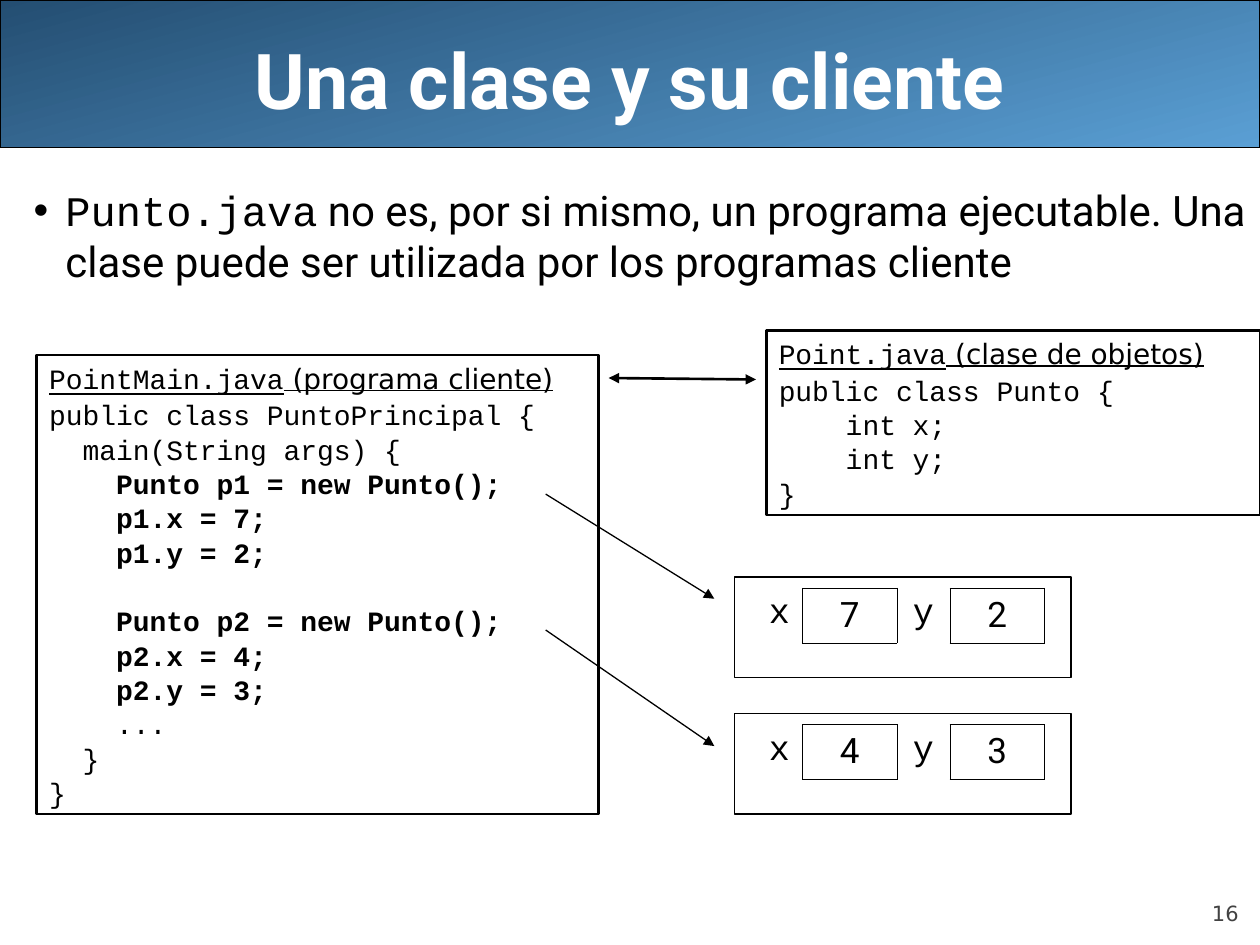
from pptx import Presentation
from pptx.dml.color import RGBColor
from pptx.enum.shapes import MSO_CONNECTOR as CONN, MSO_SHAPE as SHAPE
from pptx.enum.text import MSO_ANCHOR as ANCHOR, PP_ALIGN as ALIGN
from pptx.oxml.ns import qn
from pptx.util import Cm, Pt
from lxml.etree import SubElement

BLACK = RGBColor(0x00, 0x00, 0x00)
WHITE = RGBColor(0xFF, 0xFF, 0xFF)
GRAY = RGBColor(0x42, 0x42, 0x42)
LIGHT_BLUE = RGBColor(0x5A, 0x9F, 0xD4)
DARK_BLUE = RGBColor(0x24, 0x4E, 0x72)

MONO, SANS, TEXT = "Courier New", "DejaVu Sans", "Roboto"
CODE_GAP, CODE_PITCH = 10, 19.6


class SlideBuilder:
    def __init__(self, prs):
        self.s = prs.slides.add_slide(prs.slide_layouts[6])
        self.base = {"name": TEXT, "size": Pt(16), "bold": False}

    def run(self, p, text, color=BLACK, **fmt):
        r = p.add_run()
        r.text = text
        for key, value in {**self.base, **fmt}.items():
            setattr(r.font, key, value)
        r.font.color.rgb = color

    def text(self, box, anchor=ANCHOR.TOP, align=ALIGN.LEFT, inset=True):
        tf = self.s.shapes.add_textbox(*map(Cm, box)).text_frame
        tf.word_wrap = True
        tf.vertical_anchor = anchor
        if not inset:
            for side in ("left", "right", "top", "bottom"):
                setattr(tf, f"margin_{side}", 0)
        p = tf.paragraphs[0]
        p.alignment = align
        return p

    def bullet(self, p, indent):
        pPr = p._p.get_or_add_pPr()
        pPr.set("marL", str(indent))
        pPr.set("indent", str(-indent))
        SubElement(pPr, qn("a:buFont")).set("typeface", "Arial")
        SubElement(pPr, qn("a:buChar")).set("char", "•")

    def box(self, box, line_width=0.75, shape=SHAPE.RECTANGLE):
        sp = self.s.shapes.add_shape(shape, *map(Cm, box))
        sp.shadow.inherit = False
        sp.fill.background()
        sp.line.color.rgb = BLACK
        sp.line.width = Pt(line_width)
        return sp

    def banner(self, box):
        sp = self.box(box)
        sp.fill.gradient()
        sp.fill.gradient_angle = 105
        for stop, color in zip(sp.fill.gradient_stops, (LIGHT_BLUE, DARK_BLUE)):
            stop.color.rgb = color

    def code(self, box, file_name, note, lines):
        """Framed listing; an empty line widens the gap before the next one."""
        tf = self.box(box, 1.5).text_frame
        tf.word_wrap = True
        tf.vertical_anchor = ANCHOR.TOP
        p = tf.paragraphs[0]
        p.alignment = ALIGN.LEFT
        self.run(p, file_name, name=MONO, underline=True)
        self.run(p, note, name=SANS, underline=True)
        gap = CODE_GAP
        for line in lines:
            if not line:
                gap += CODE_PITCH
                continue
            p = tf.add_paragraph()
            p.alignment = ALIGN.LEFT
            p.line_spacing = 0.5
            p.space_before = Pt(gap)
            self.run(p, line, name=MONO, bold=line.strip().startswith(("Punto", "p1", "p2")))
            gap = CODE_GAP

    def borders(self, cell, sides):
        tcPr = cell._tc.get_or_add_tcPr()
        for side in "LRTB":
            ln = SubElement(tcPr, qn(f"a:ln{side}"), w=str(Pt(0.45)))
            if side in sides:
                fill = SubElement(ln, qn("a:solidFill"))
                SubElement(fill, qn("a:srgbClr"), val=str(BLACK))
            else:
                SubElement(ln, qn("a:noFill"))

    def point_object(self, top, x, y):
        """Frame of one object with its two fields in a one-row table."""
        self.box((14.81, top, 6.78, 2.03))
        widths = (0.94, 1.9, 1.07, 1.9)
        place = map(Cm, (15.24, top + 0.23, sum(widths), 1.1))
        table = self.s.shapes.add_table(1, 4, *place).table
        table.first_row = table.horz_banding = False
        fields = (("x", MONO, "R"), (x, TEXT, "LRTB"), ("y", MONO, "LR"), (y, TEXT, "LRTB"))
        for i, (value, font, sides) in enumerate(fields):
            table.columns[i].width = Cm(widths[i])
            cell = table.cell(0, i)
            self.borders(cell, sides)
            cell.fill.background()
            p = cell.text_frame.paragraphs[0]
            p.alignment = ALIGN.CENTER
            self.run(p, value, name=font, size=Pt(20))

    def arrow(self, start, end, width=0.75, ends=("tailEnd",)):
        c = self.s.shapes.add_connector(CONN.STRAIGHT, *map(Cm, start + end))
        c.line.color.rgb = BLACK
        c.line.width = Pt(width)
        ln = c.line._get_or_add_ln()
        for tag in ends:
            SubElement(ln, qn(f"a:{tag}"), type="triangle")
        SubElement(c._element.spPr, qn("a:effectLst"))


def main():
    prs = Presentation()
    prs.slide_width, prs.slide_height = Cm(25.4), Cm(19.05)
    b = SlideBuilder(prs)

    # Banner, page number and title
    b.banner((0, 0, 25.4, 2.97))
    p = b.text((22.86, 17.65, 2.11, 1.02), ANCHOR.BOTTOM, ALIGN.RIGHT, inset=False)
    b.run(p, "16", GRAY, name=SANS, size=Pt(12))
    p = b.text((1.27, 0, 22.86, 3.18), ANCHOR.MIDDLE, ALIGN.CENTER)
    b.run(p, "Una clase y su cliente", WHITE, size=Pt(44), bold=True)

    # Statement
    p = b.text((0.43, 3.6, 24.97, 2.6))
    b.bullet(p, Cm(0.64))
    b.run(p, "Punto.java", name=MONO, size=Pt(24))
    b.run(p, " no es, por si mismo, un programa ejecutable. Una clase puede ser "
             "utilizada por los programas cliente", size=Pt(24))

    # Client program and class
    b.code((0.74, 7.16, 11.33, 9.25), "PointMain.java", " (programa cliente)", (
        "public class PuntoPrincipal {",
        "  main(String args) {",
        "    Punto p1 = new Punto();",
        "    p1.x = 7;",
        "    p1.y = 2;",
        "",
        "    Punto p2 = new Punto();",
        "    p2.x = 4;",
        "    p2.y = 3;",
        "    ...",
        "  }",
        "}",
    ))
    b.code((15.45, 6.66, 9.95, 3.72), "Point.java", " (clase de objetos)", (
        "public class Punto {",
        "    int x;",
        "    int y;",
        "}",
    ))

    # Objects in memory
    for i, (x, y) in enumerate((("7", "2"), ("4", "3"))):
        b.point_object(11.63 + i * 2.75, x, y)

    # Arrows
    b.arrow((12.27, 7.62), (15.24, 7.65), 1.5, ("headEnd", "tailEnd"))
    b.arrow((11, 9.96), (14.4, 12.07))
    b.arrow((11, 12.7), (14.4, 15.04))

    prs.save("out.pptx")


if __name__ == "__main__":
    main()
